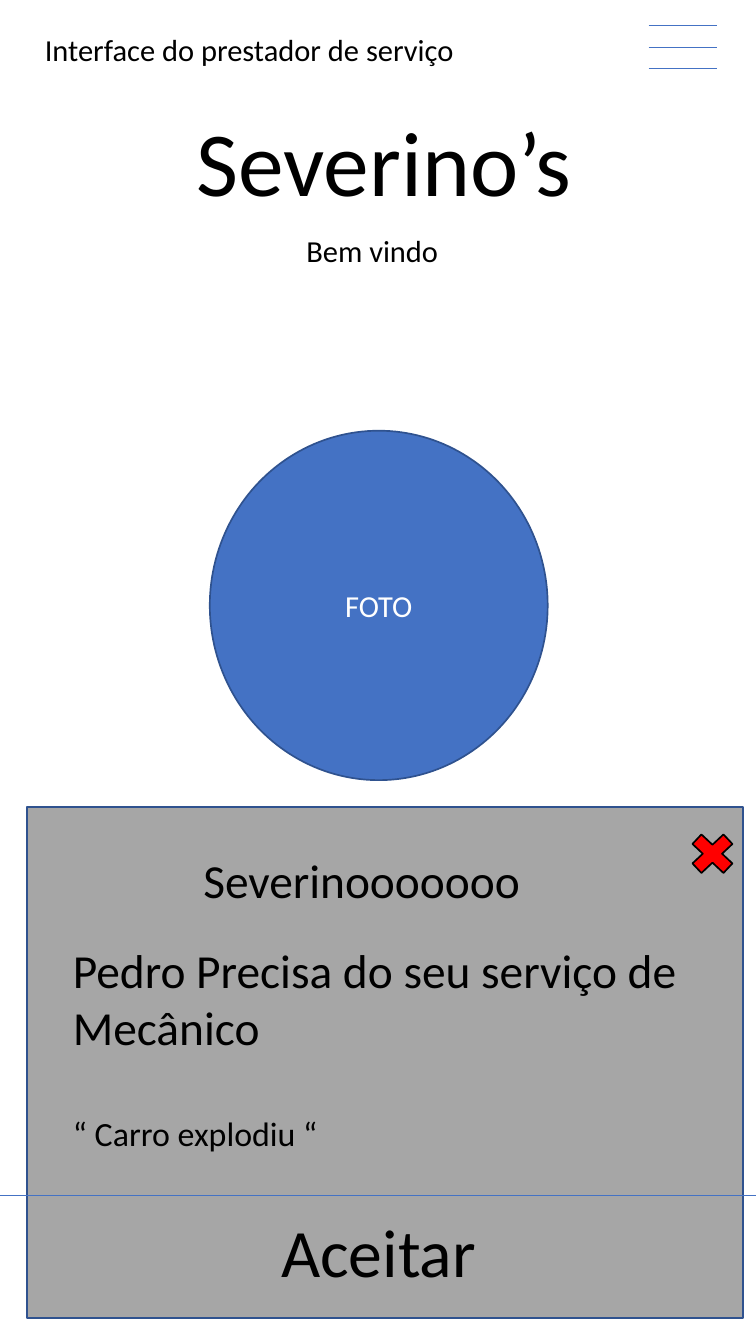
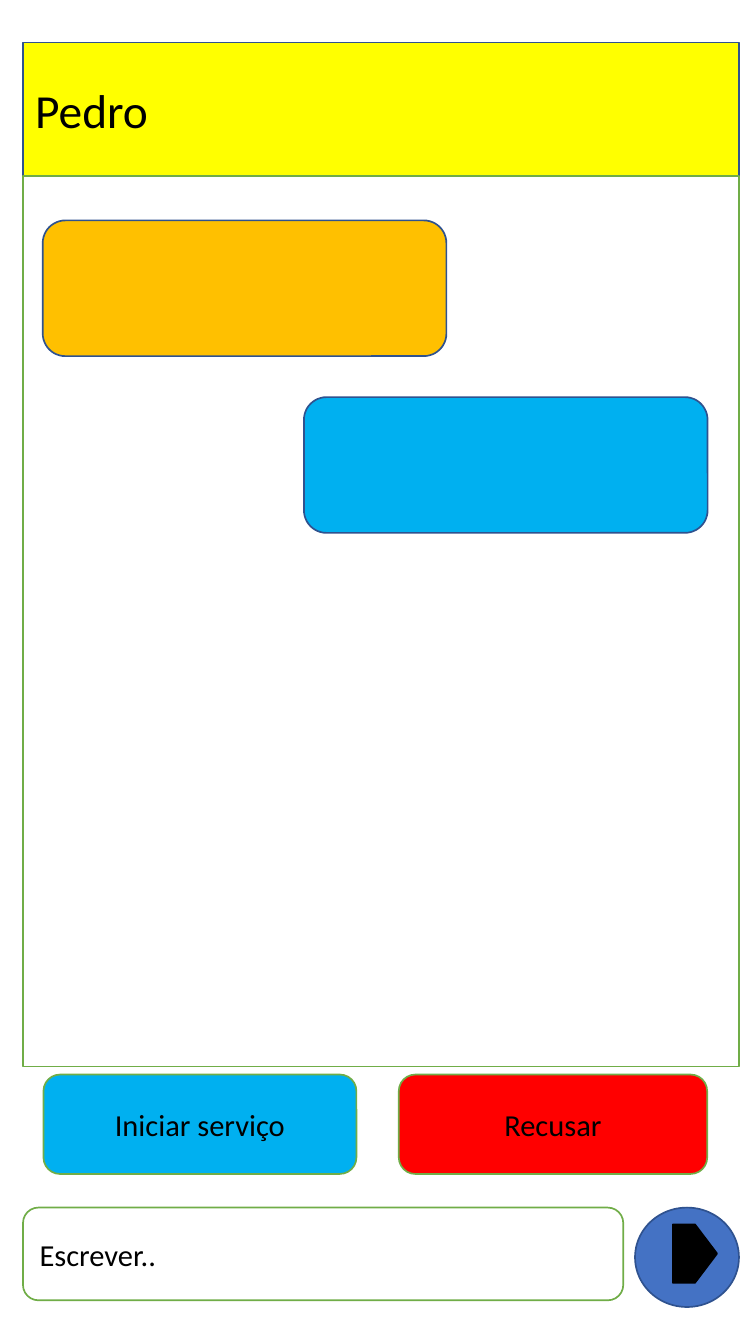
from lxml import etree
from pptx import Presentation
from pptx.dml.color import RGBColor
from pptx.enum.shapes import MSO_CONNECTOR, MSO_SHAPE
from pptx.enum.text import MSO_ANCHOR, MSO_AUTO_SIZE, PP_ALIGN
from pptx.oxml.ns import qn
from pptx.util import Inches, Pt

W, H = Inches(6.2), Inches(11.02)
FONT = "Calibri"
COLORS = {
    "black": "000000", "white": "FFFFFF", "grey": "A6A6A6",
    "blue": "4472C4", "navy": "2F528F", "sky": "00B0F0",
    "green": "70AD47", "yellow": "FFFF00", "amber": "FFC000", "red": "FF0000",
}
LEFT, CENTER = PP_ALIGN.LEFT, PP_ALIGN.CENTER
TITLE_ONLY = 5
PANEL_W = 94.7  # width shared by the card, the header band and the chat


def rgb(name):
    return RGBColor.from_string(COLORS[name])


def box(x, y, w, h):
    """Turn percentages of the slide into left, top, width, height."""
    return (round(W * x / 100), round(H * y / 100),
            round(W * w / 100), round(H * h / 100))


def paint(sp, fill, line):
    sp.fill.solid()
    sp.fill.fore_color.rgb = rgb(fill)
    sp.line.color.rgb = rgb(line)
    sp.line.width = Pt(1)


def write(sp, text, size, align=LEFT, color="black", anchor=MSO_ANCHOR.TOP):
    tf = sp.text_frame
    tf.word_wrap = True
    tf.auto_size = MSO_AUTO_SIZE.NONE
    tf.vertical_anchor = anchor
    tf.text = text
    for p in tf.paragraphs:
        p.alignment = align
        for r in p.runs:
            r.font.name = FONT
            r.font.size = Pt(size)
            r.font.color.rgb = rgb(color)
    return tf


def add_title(s, area, text, size, **style):
    sp = s.shapes.title
    sp.left, sp.top, sp.width, sp.height = box(*area)
    write(sp, text, size, **style)
    return sp


def add_label(s, area, text, size, align=LEFT):
    return write(s.shapes.add_textbox(*box(*area)), text, size, align)


def add_block(s, kind, area, fill, line="navy", text="", align=CENTER, color="black"):
    sp = s.shapes.add_shape(kind, *box(*area))
    sp.shadow.inherit = False
    paint(sp, fill, line)
    if text:
        write(sp, text, 18, align, color, MSO_ANCHOR.MIDDLE)


def add_rule(s, x1, x2, y):
    left, top, width, _ = box(x1, y, x2 - x1, 0)
    ln = s.shapes.add_connector(MSO_CONNECTOR.STRAIGHT, left, top, left + width, top)
    ln.line.color.rgb = rgb("blue")
    ln.line.width = Pt(0.5)
    etree.SubElement(ln._element.spPr, qn("a:effectLst"))


def request_slide(prs):
    s = prs.slides.add_slide(prs.slide_layouts[TITLE_ONLY])
    # Heading and welcome
    add_title(s, (11.45, 7.35, 78.7, 9.15), "Severino’s", 54, align=CENTER)
    add_label(s, (4.35, 1.9, 68.1, 3.6), "Interface do prestador de serviço", 18)
    add_label(s, (30.3, 16.8, 37.9, 3.6), "Bem vindo", 18, CENTER)
    # Menu icon
    for i in range(3):
        add_rule(s, 85.8, 94.8, 1.9 + 1.6 * i)
    # Profile photo
    add_block(s, MSO_SHAPE.OVAL, (27.75, 32.05, 44.7, 26), "blue",
              text="FOTO", color="white")
    # Request card
    add_block(s, MSO_SHAPE.RECTANGLE, (3.55, 60.05, PANEL_W, 38), "grey")
    add_label(s, (25.3, 62.9, 67.7, 5.2), "Severinooooooo", 28)
    tf = add_label(s, (8.05, 69.6, 83.9, 16.8),
                   "Pedro Precisa do seu serviço de Mecânico\n“ Carro explodiu “", 28)
    p = tf.paragraphs[1]
    p.space_before = Pt(34)
    p.runs[0].font.size = Pt(20)
    add_rule(s, 0, 100, 88.95)
    add_label(s, (3.55, 89.55, 93.05, 7), "Aceitar", 40, CENTER)
    add_block(s, MSO_SHAPE.MATH_MULTIPLY, (90.3, 61.45, 7.9, 4.15), "red", "black")


def chat_slide(prs):
    s = prs.slides.add_slide(prs.slide_layouts[TITLE_ONLY])
    left = 3.05
    rounded = MSO_SHAPE.ROUNDED_RECTANGLE
    # Contact band and conversation area
    title = add_title(s, (left, 3.15, PANEL_W, 9.95), "Pedro", 28,
                      anchor=MSO_ANCHOR.MIDDLE)
    paint(title, "yellow", "navy")
    add_block(s, MSO_SHAPE.RECTANGLE, (left, 13.1, PANEL_W, 66.25), "white", "green")
    # Messages
    for x, y, fill in ((5.65, 16.4, "amber"), (40.2, 29.55, "sky")):
        add_block(s, rounded, (x, y, 53.4, 10.1), fill)
    # Answer buttons
    for x, w, fill, text in ((5.75, 41.4, "sky", "Iniciar serviço"),
                             (52.75, 40.8, "red", "Recusar")):
        add_block(s, rounded, (x, 79.95, w, 7.4), fill, "green", text)
    # Message field and send button
    add_block(s, rounded, (left, 89.85, 79.4, 6.9), "white", "green", "Escrever..", LEFT)
    add_block(s, MSO_SHAPE.OVAL, (84, 89.85, 13.75, 7.4), "blue")
    add_block(s, MSO_SHAPE.PENTAGON, (89, 91.1, 5.85, 4.35), "black", "black")


def main():
    prs = Presentation()
    prs.slide_width, prs.slide_height = W, H
    request_slide(prs)
    chat_slide(prs)
    prs.save("out.pptx")


if __name__ == "__main__":
    main()
